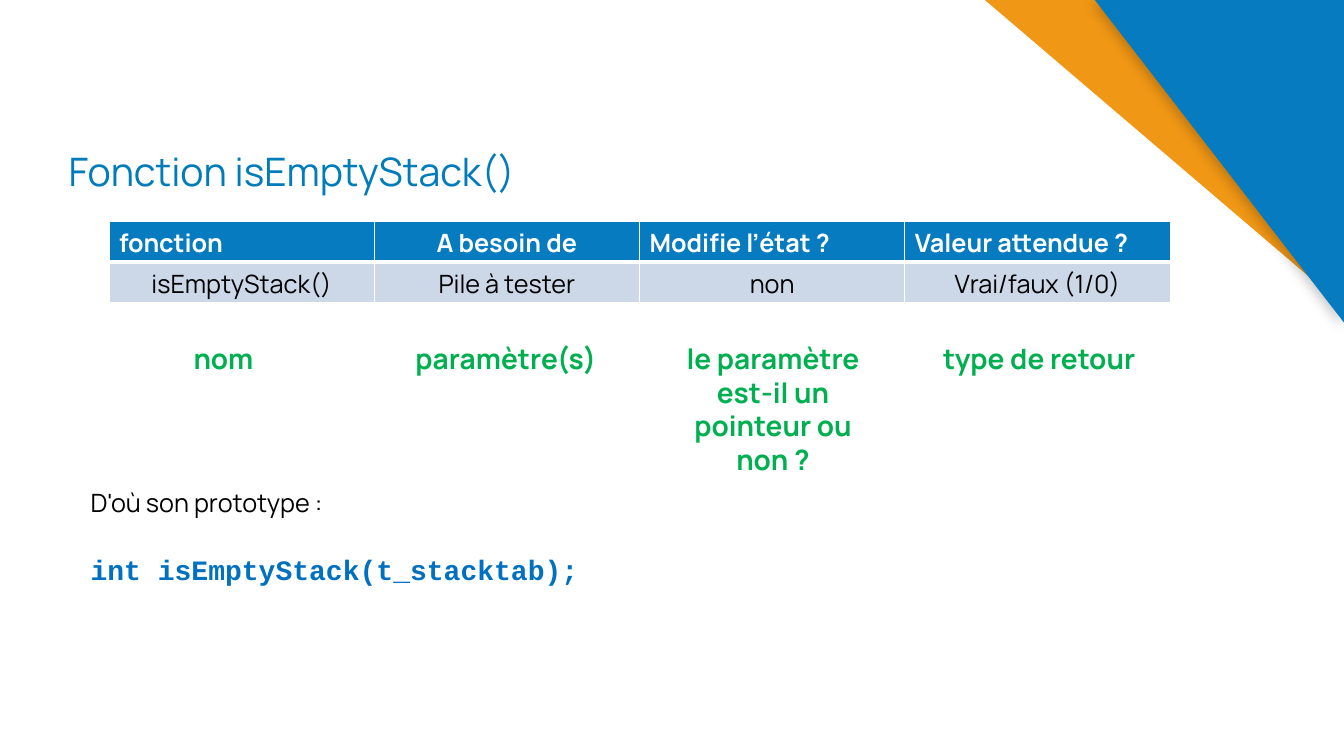
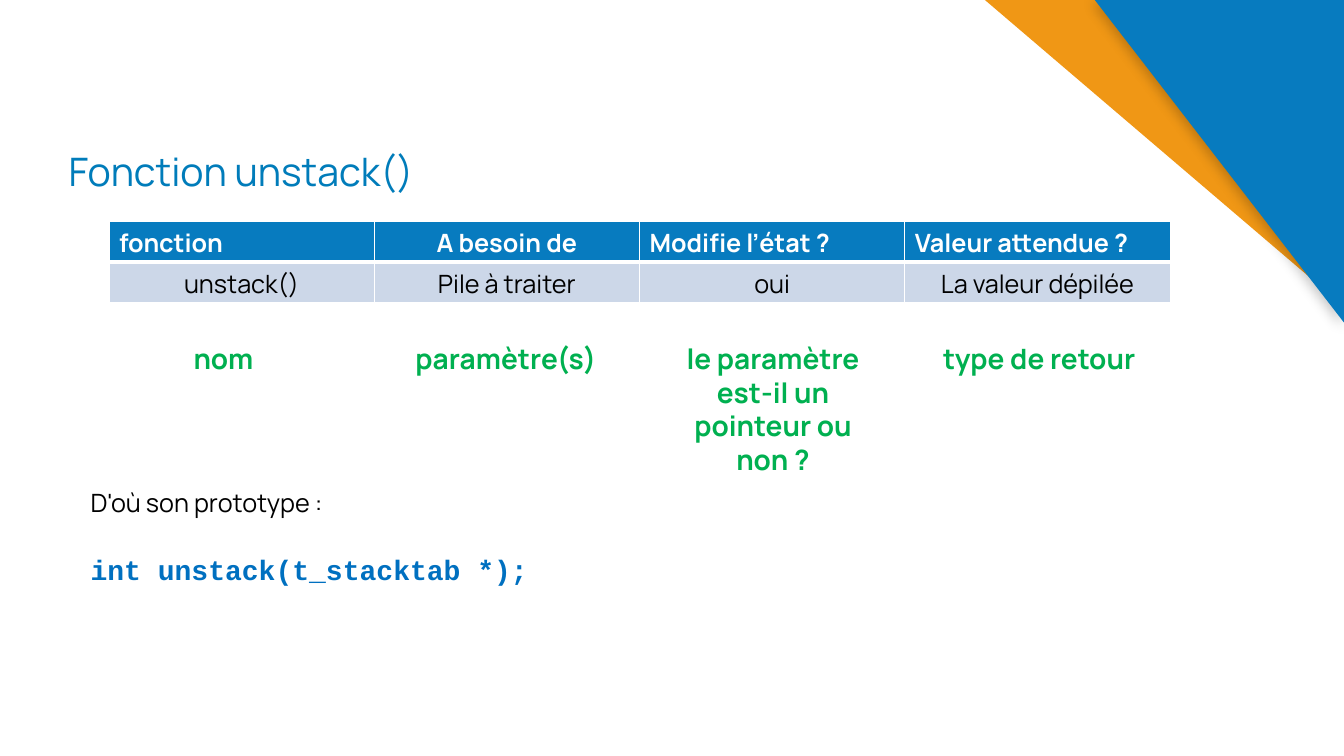
from lxml import etree
from pptx import Presentation
from pptx.dml.color import RGBColor
from pptx.enum.text import MSO_ANCHOR, MSO_AUTO_SIZE, PP_ALIGN
from pptx.oxml import parse_xml
from pptx.oxml.ns import qn
from pptx.util import Pt

LEFT, CENTER = PP_ALIGN.LEFT, PP_ALIGN.CENTER
TOP, BOTTOM = MSO_ANCHOR.TOP, MSO_ANCHOR.BOTTOM
GROW = MSO_AUTO_SIZE.SHAPE_TO_FIT_TEXT

COLORS = {
    "orange": "F09715", "blue": "077BBF", "title": "007CBA", "code": "0070C0",
    "label": "00B050", "row": "CCD7E8", "white": "FFFFFF", "black": "000000",
}
BODY_FONT, CODE_FONT = "Manrope", "Courier New"
WIDTH, HEIGHT = 960, 540
BLANK_LAYOUT = 6

COLUMN_WIDTH, ROW_HEIGHT = 189.5, 29.2
HEADERS = [("fonction", LEFT), ("A besoin de", CENTER),
           ("Modifie l’état ?", LEFT), ("Valeur attendue ?", LEFT)]
LABELS = [  # text, left, width, height
    ("nom", 93.6, 132, 31.5),
    ("paramètre(s)", 282.2, 158.4, 31.5),
    ("le paramètre est-il un pointeur ou non ?", 473, 158.4, 104.4),
    ("type de retour", 663.1, 158.4, 31.5),
]
FUNCTIONS = [  # title, table row, prototype
    ("Fonction isEmptyStack()",
     ["isEmptyStack()", "Pile à tester", "non", "Vrai/faux (1/0)"],
     "int isEmptyStack(t_stacktab);"),
    ("Fonction unstack()",
     ["unstack()", "Pile à traiter", "oui", "La valeur dépilée"],
     "int unstack(t_stacktab *);"),
]


def rgb(name):
    return RGBColor.from_string(COLORS[name])


def add_span(para, text, size, color, bold=False, font=BODY_FONT):
    span = para.add_run()
    span.text = text
    span.font.size = Pt(size)
    span.font.name = font
    span.font.bold = bold
    span.font.color.rgb = rgb(color)


def add_box(page, left, top, width, height, anchor=TOP):
    """Add an empty wrapping text box and return its text frame."""
    box = page.shapes.add_textbox(Pt(left), Pt(top), Pt(width), Pt(height))
    frame = box.text_frame
    frame.word_wrap = True
    frame.vertical_anchor = anchor
    return frame


def add_corner(page, left, depth, color):
    """Draw a triangle in the top right corner of the page."""
    builder = page.shapes.build_freeform(Pt(left), Pt(0), scale=1.0)
    builder.add_line_segments([(Pt(WIDTH), Pt(0)), (Pt(WIDTH), Pt(depth))])
    corner = builder.convert_to_shape()
    corner.shadow.inherit = False
    corner.fill.solid()
    corner.fill.fore_color.rgb = rgb(color)
    corner.line.fill.background()
    return corner


def cast_shadow(shape):
    effects = shape._element.spPr.find(qn("a:effectLst"))
    effects.append(parse_xml(
        '<a:outerShdw xmlns:a="http://schemas.openxmlformats.org/drawingml/2006/main"'
        f' blurRad="{Pt(9)}" dist="{Pt(3)}" dir="8100000" algn="tr" rotWithShape="0">'
        f'<a:srgbClr val="{COLORS["black"]}"><a:alpha val="22000"/></a:srgbClr>'
        '</a:outerShdw>'))


def add_decor(page):
    add_corner(page, 703.5, 219, "orange")
    cast_shadow(add_corner(page, 782, 230.4, "blue"))


def add_title(page, text):
    frame = add_box(page, 49, 76.3, 570, 66.2, BOTTOM)
    frame.margin_left = 0
    para = frame.paragraphs[0]
    para.line_spacing = 0.9
    add_span(para, text, 28, "title")


def set_borders(cell, bottom):
    properties = cell._tc.get_or_add_tcPr()
    for side, width in (("L", 1), ("R", 1), ("T", 1), ("B", bottom)):
        line = etree.SubElement(properties, qn(f"a:ln{side}"), w=str(Pt(width)))
        fill = etree.SubElement(line, qn("a:solidFill"))
        etree.SubElement(fill, qn("a:srgbClr"), val=COLORS["white"])


def fill_cell(cell, text, align, header):
    set_borders(cell, 3 if header else 1)
    cell.fill.solid()
    cell.fill.fore_color.rgb = rgb("blue" if header else "row")
    para = cell.text_frame.paragraphs[0]
    para.alignment = align
    add_span(para, text, 18, "white" if header else "black", header)


def add_function_table(page, values):
    rows = [HEADERS, [(value, CENTER) for value in values]]
    table = page.shapes.add_table(
        len(rows), len(HEADERS), Pt(77.8), Pt(157.9),
        Pt(COLUMN_WIDTH * len(HEADERS)), Pt(ROW_HEIGHT * len(rows))).table
    table.horz_banding = False
    for column in table.columns:
        column.width = Pt(COLUMN_WIDTH)
    for row_index, row in enumerate(rows):
        table.rows[row_index].height = Pt(ROW_HEIGHT)
        for column_index, (text, align) in enumerate(row):
            fill_cell(table.cell(row_index, column_index), text, align, row_index == 0)


def add_labels(page):
    for text, left, width, height in LABELS:
        frame = add_box(page, left, 240.5, width, height)
        frame.auto_size = GROW
        para = frame.paragraphs[0]
        para.alignment = CENTER
        add_span(para, text, 20, "label", True)


def add_prototype(page, prototype):
    frame = add_box(page, 57.6, 344.9, 821.5, 75)
    frame.auto_size = GROW
    add_span(frame.paragraphs[0], "D'où son prototype :", 18, "black")
    para = frame.add_paragraph()
    para.space_before = Pt(24.6)
    add_span(para, prototype, 20, "code", True, CODE_FONT)


def main():
    deck = Presentation()
    deck.slide_width, deck.slide_height = Pt(WIDTH), Pt(HEIGHT)
    for title, values, prototype in FUNCTIONS:
        page = deck.slides.add_slide(deck.slide_layouts[BLANK_LAYOUT])
        add_decor(page)
        add_title(page, title)
        add_function_table(page, values)
        add_labels(page)
        add_prototype(page, prototype)
    deck.save("out.pptx")


if __name__ == "__main__":
    main()
